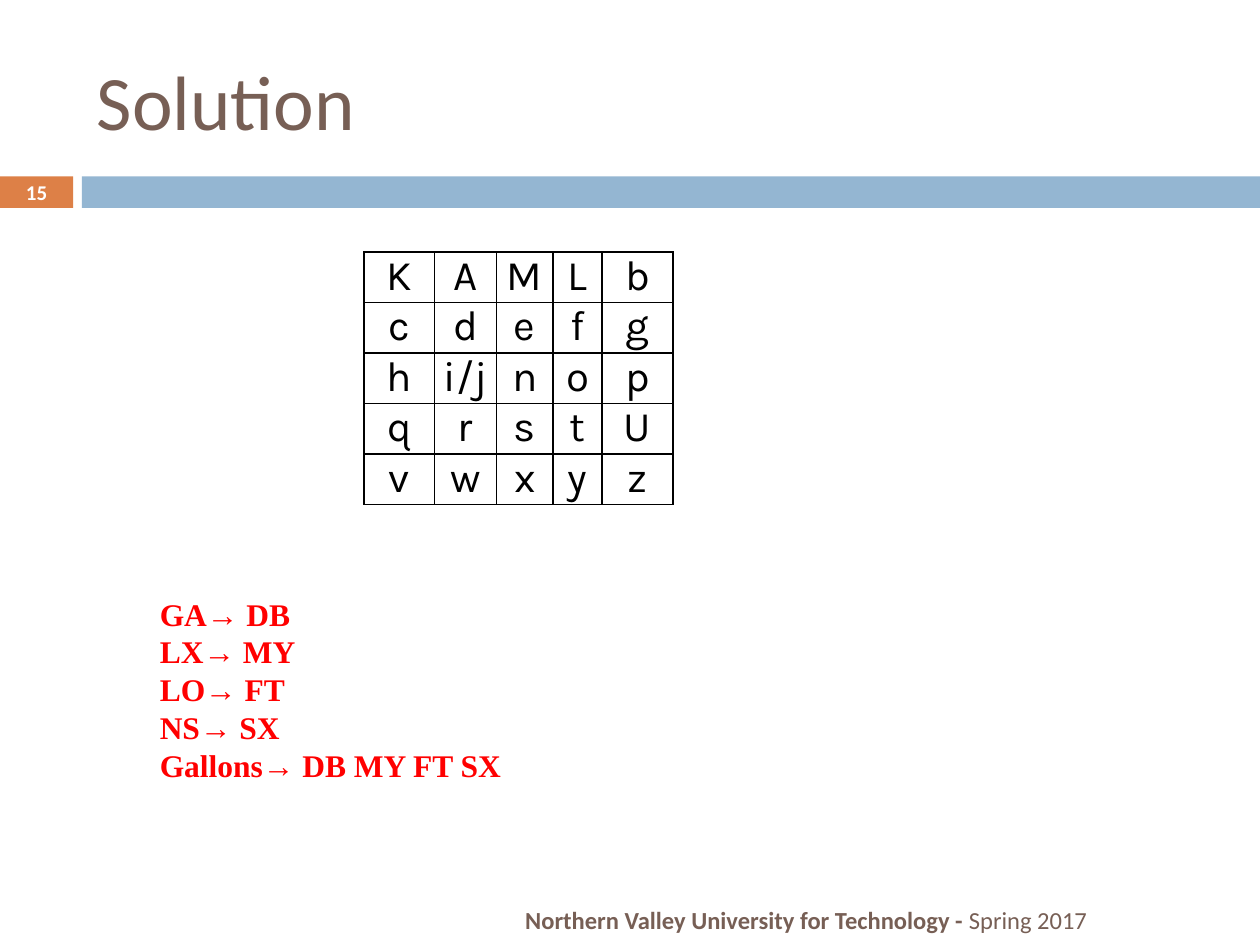
from dataclasses import dataclass

import pptx
import pptx.dml.color
import pptx.enum.shapes
import pptx.enum.text
import pptx.oxml
import pptx.oxml.ns
import pptx.util
from pptx.util import Inches

ANCHOR = pptx.enum.text.MSO_ANCHOR
ALIGN = pptx.enum.text.PP_ALIGN


@dataclass(frozen=True)
class Theme:
    brown: str = "775F55"
    orange: str = "DD8047"
    blue: str = "94B6D2"
    red: str = "FF0000"
    black: str = "000000"
    white: str = "FFFFFF"
    heading_font: str = "Calibri"
    key_font: str = "Karla"
    answer_font: str = "Times New Roman"
    title_size: float = 44
    key_size: float = 24
    answer_size: float = 18
    footer_size: float = 14
    number_size: float = 12


@dataclass(frozen=True)
class Box:
    left: float
    top: float
    width: float
    height: float

    def lengths(self) -> tuple:
        return tuple(Inches(v) for v in (self.left, self.top, self.width, self.height))


@dataclass(frozen=True)
class Style:
    font: str
    size: float
    color: str
    bold: bool | None = False
    align: ALIGN = ALIGN.LEFT


@dataclass(frozen=True)
class Answer:
    text: str
    margin: float
    indent: float


THEME = Theme()
KEY_SQUARE = (
    ("K", "A", "M", "L", "b"),
    ("c", "d", "e", "f", "g"),
    ("h", "i/j", "n", "o", "p"),
    ("q", "r", "s", "t", "U"),
    ("v", "w", "x", "y", "z"),
)
KEY_COLUMNS = (0.56, 0.49, 0.45, 0.39, 0.56)
KEY_ROW = 0.35
ANSWERS = (
    Answer("GA→ DB", 0.5, 0),
    Answer("LX→ MY", 0.5, 0),
    Answer("LO→ FT", 0.25, 0.25),
    Answer("NS→ SX", 0.25, 0.25),
    Answer("Gallons→ DB MY FT SX", 0.25, 0.25),
)


def rgb(color: str) -> pptx.dml.color.RGBColor:
    return pptx.dml.color.RGBColor.from_string(color)


def style_paragraph(p, style: Style) -> None:
    p.alignment = style.align
    p.font.name = style.font
    p.font.size = pptx.util.Pt(style.size)
    p.font.bold = style.bold
    p.font.color.rgb = rgb(style.color)


def add_bar(s, box: Box, color: str) -> None:
    sp = s.shapes.add_shape(pptx.enum.shapes.MSO_SHAPE.RECTANGLE, *box.lengths())
    sp.shadow.inherit = False
    sp.fill.solid()
    sp.fill.fore_color.rgb = rgb(color)
    sp.line.fill.background()


def add_text_frame(s, box: Box, anchor: ANCHOR = ANCHOR.MIDDLE):
    tf = s.shapes.add_textbox(*box.lengths()).text_frame
    tf.word_wrap = True
    tf.vertical_anchor = anchor
    return tf


def add_line(s, box: Box, text: str, style: Style) -> None:
    p = add_text_frame(s, box).paragraphs[0]
    p.text = text
    style_paragraph(p, style)


def add_footer(s, box: Box, bold_text: str, plain_text: str) -> None:
    p = add_text_frame(s, box).paragraphs[0]
    style_paragraph(p, Style(THEME.heading_font, THEME.footer_size, THEME.brown, None))
    for text, bold in ((bold_text, True), (plain_text, False)):
        r = p.add_run()
        r.text = text
        r.font.bold = bold


def add_borders(cell, color: str, width: float) -> None:
    tc_pr = cell._tc.get_or_add_tcPr()
    for side in ("lnL", "lnR", "lnT", "lnB"):
        tc_pr.append(pptx.oxml.parse_xml(
            f'<a:{side} {pptx.oxml.ns.nsdecls("a")} w="{pptx.util.Pt(width)}">'
            f'<a:solidFill><a:srgbClr val="{color}"/></a:solidFill></a:{side}>'))


def add_key_square(s, left: float, top: float) -> None:
    box = Box(left, top, sum(KEY_COLUMNS), KEY_ROW * len(KEY_SQUARE))
    table = s.shapes.add_table(len(KEY_SQUARE), len(KEY_COLUMNS), *box.lengths()).table
    table.first_row = table.horz_banding = False
    for column, width in zip(table.columns, KEY_COLUMNS):
        column.width = Inches(width)
    style = Style(THEME.key_font, THEME.key_size, THEME.black, align=ALIGN.CENTER)
    for row, letters in zip(table.rows, KEY_SQUARE):
        row.height = Inches(KEY_ROW)
        for cell, letter in zip(row.cells, letters):
            cell.margin_left = cell.margin_right = Inches(0.07)
            cell.margin_top = cell.margin_bottom = 0
            add_borders(cell, THEME.black, 1)
            cell.fill.background()
            p = cell.text_frame.paragraphs[0]
            p.text = letter
            style_paragraph(p, style)


def add_answers(s, box: Box) -> None:
    tf = add_text_frame(s, box, ANCHOR.TOP)
    tf.auto_size = pptx.enum.text.MSO_AUTO_SIZE.SHAPE_TO_FIT_TEXT
    style = Style(THEME.answer_font, THEME.answer_size, THEME.red, True)
    for i, answer in enumerate(ANSWERS):
        p = tf.add_paragraph() if i else tf.paragraphs[0]
        p.text = answer.text
        style_paragraph(p, style)
        p_pr = p._p.get_or_add_pPr()
        p_pr.set("marL", str(Inches(answer.margin)))
        p_pr.set("indent", str(Inches(answer.indent)))


def main() -> None:
    prs = pptx.Presentation()
    prs.slide_width, prs.slide_height = Inches(10), Inches(7.5)
    s = prs.slides.add_slide(prs.slide_layouts[6])

    add_bar(s, Box(0, 1.4, 0.58, 0.25), THEME.orange)
    add_bar(s, Box(0.65, 1.4, 9.35, 0.25), THEME.blue)
    add_line(s, Box(0.67, 0.25, 8.92, 1.08), "Solution",
             Style(THEME.heading_font, THEME.title_size, THEME.brown))
    add_footer(s, Box(4.07, 7.1, 5.93, 0.4),
               "Northern Valley University for Technology -", " Spring 2017")
    add_line(s, Box(0, 1.39, 0.58, 0.27), "15",
             Style(THEME.heading_font, THEME.number_size, THEME.white, True, ALIGN.CENTER))
    add_key_square(s, 2.89, 2)
    add_answers(s, Box(0.67, 4.67, 5, 1.62))

    prs.save("out.pptx")


if __name__ == "__main__":
    main()
